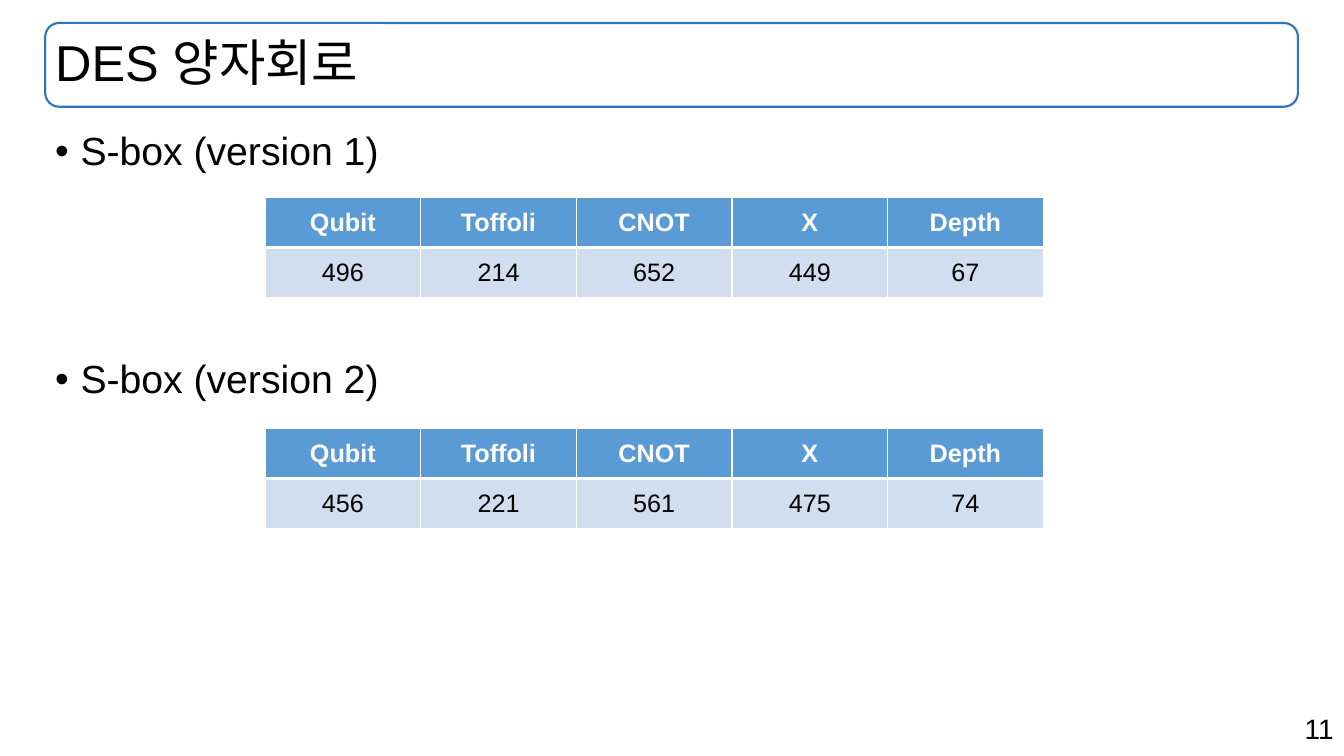
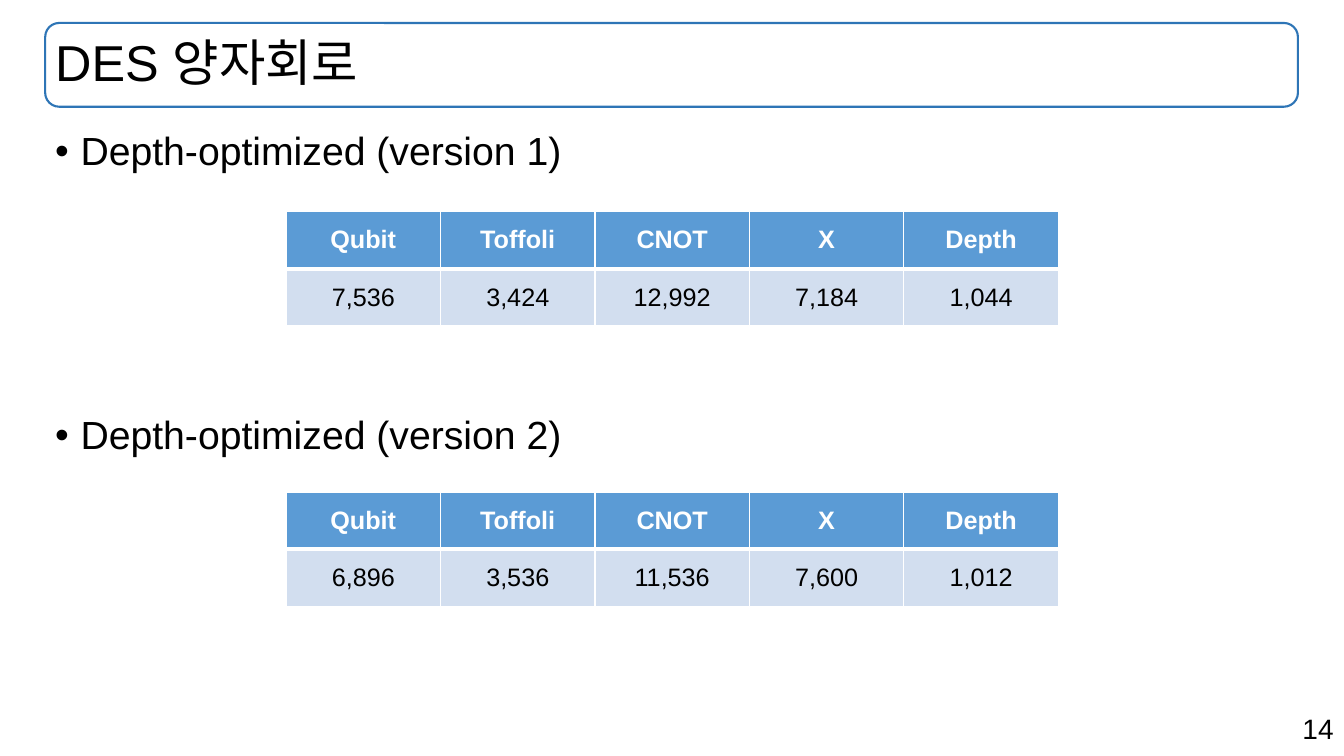
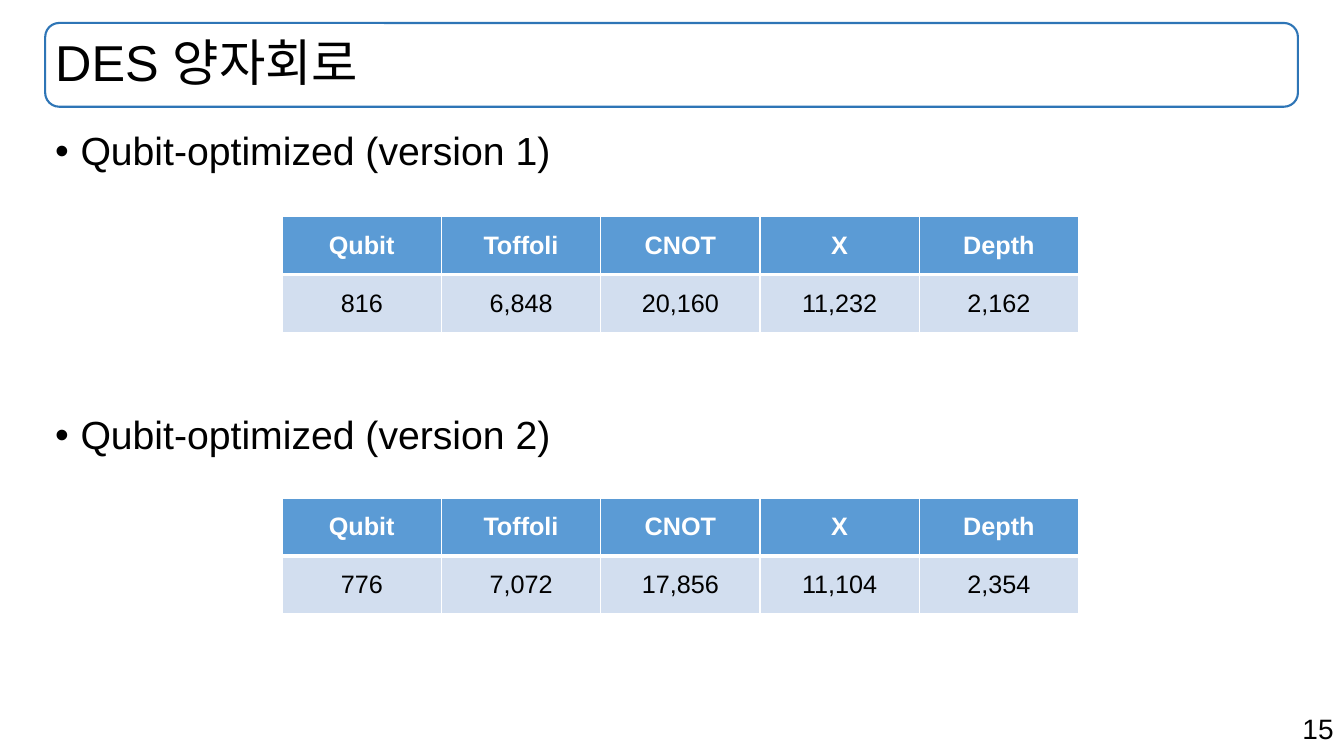
from dataclasses import dataclass

import pptx
import pptx.dml.color
import pptx.enum.shapes
import pptx.enum.text
import pptx.oxml
import pptx.oxml.ns
import pptx.presentation
import pptx.shapes.autoshape
import pptx.slide
import pptx.table
import pptx.text.text
import pptx.util

Cm = pptx.util.Cm
Pt = pptx.util.Pt
RGBColor = pptx.dml.color.RGBColor
PP_ALIGN = pptx.enum.text.PP_ALIGN
MSO_ANCHOR = pptx.enum.text.MSO_ANCHOR

FRAME_BLUE = RGBColor(0x2E, 0x75, 0xB6)
HEADER_BLUE = RGBColor(0x5B, 0x9B, 0xD5)
ROW_BLUE = RGBColor(0xD2, 0xDE, 0xEF)
WHITE = RGBColor(0xFF, 0xFF, 0xFF)
BLACK = RGBColor(0x00, 0x00, 0x00)
FONT = "Arial"

TITLE = "DES 양자회로"
COLUMNS = ("Qubit", "Toffoli", "CNOT", "X", "Depth")
TITLE_BOX = (Cm(1.14), Cm(0.58), Cm(31.57), Cm(2.11))
BODY_BOX = (Cm(1.14), Cm(3.2), Cm(31.57), Cm(15.57))
NUMBER_BOX = (Cm(23.95), Cm(17.81), Cm(9.91), Cm(1.12))


@dataclass(frozen=True)
class Result:
    heading: str
    top: float
    values: tuple[str, ...]


@dataclass(frozen=True)
class ResultSlide:
    number: int
    left: float
    width: float
    row_height: float
    heading_gap: float
    results: tuple[Result, ...]


SLIDES = (
    ResultSlide(11, 6.68, 19.61, 1.26, 132.5, (
        Result("S-box (version 1)", 4.98, ("496", "214", "652", "449", "67")),
        Result("S-box (version 2)", 10.8, ("456", "221", "561", "475", "74")),
    )),
    ResultSlide(14, 7.21, 19.46, 1.44, 172.5, (
        Result("Depth-optimized (version 1)", 5.33,
               ("7,536", "3,424", "12,992", "7,184", "1,044")),
        Result("Depth-optimized (version 2)", 12.4,
               ("6,896", "3,536", "11,536", "7,600", "1,012")),
    )),
    ResultSlide(15, 7.11, 20.07, 1.46, 172.5, (
        Result("Qubit-optimized (version 1)", 5.46,
               ("816", "6,848", "20,160", "11,232", "2,162")),
        Result("Qubit-optimized (version 2)", 12.55,
               ("776", "7,072", "17,856", "11,104", "2,354")),
    )),
)


def format_text(p: pptx.text.text._Paragraph, size: int,
                color: RGBColor = BLACK, bold: bool = False) -> None:
    for r in p.runs:
        r.font.name = FONT
        r.font.size = Pt(size)
        r.font.color.rgb = color
        r.font.bold = bold


def add_text(s: pptx.slide.Slide, box: tuple, text: str,
             size: int) -> pptx.shapes.autoshape.Shape:
    sp = s.shapes.add_textbox(*box)
    tf = sp.text_frame
    tf.word_wrap = True
    tf.text = text
    for p in tf.paragraphs:
        format_text(p, size)
    return sp


def add_frame(s: pptx.slide.Slide, number: int) -> None:
    sp = add_text(s, NUMBER_BOX, str(number), 20)
    sp.text_frame.paragraphs[0].alignment = PP_ALIGN.RIGHT

    sp = s.shapes.add_shape(
        pptx.enum.shapes.MSO_SHAPE.ROUNDED_RECTANGLE, *TITLE_BOX)
    sp.shadow.inherit = False
    sp.fill.background()
    sp.line.color.rgb = FRAME_BLUE
    sp.line.width = Pt(1.5)

    tf = add_text(s, TITLE_BOX, TITLE, 36).text_frame
    tf.vertical_anchor = MSO_ANCHOR.MIDDLE
    tf.paragraphs[0].line_spacing = 0.9


def add_headings(s: pptx.slide.Slide, spec_slide: ResultSlide) -> None:
    text = "\n".join(result.heading for result in spec_slide.results)
    tf = add_text(s, BODY_BOX, text, 28).text_frame
    for i, p in enumerate(tf.paragraphs):
        p.line_spacing = 0.9
        p.space_before = Pt(spec_slide.heading_gap if i else 0)
        pPr = p._p.get_or_add_pPr()
        pPr.set("marL", str(Cm(0.64)))
        pPr.set("indent", str(-Cm(0.64)))
        ns = pptx.oxml.ns.nsdecls("a")
        pPr.append(pptx.oxml.parse_xml(f'<a:buFont {ns} typeface="{FONT}"/>'))
        pPr.append(pptx.oxml.parse_xml(f'<a:buChar {ns} char="•"/>'))


def set_borders(cell: pptx.table._Cell, top: float, bottom: float) -> None:
    tcPr = cell._tc.get_or_add_tcPr()
    for side, width in (("L", 1), ("R", 1), ("T", top), ("B", bottom)):
        tcPr.append(pptx.oxml.parse_xml(
            f'<a:ln{side} {pptx.oxml.ns.nsdecls("a")} w="{Pt(width)}">'
            f'<a:solidFill><a:srgbClr val="{WHITE}"/></a:solidFill>'
            f'</a:ln{side}>'))


def style_cell(cell: pptx.table._Cell, text: str, header: bool) -> None:
    set_borders(cell, top=1 if header else 3, bottom=3 if header else 1)
    cell.fill.solid()
    cell.fill.fore_color.rgb = HEADER_BLUE if header else ROW_BLUE
    cell.vertical_anchor = MSO_ANCHOR.MIDDLE
    cell.text_frame.text = text
    p = cell.text_frame.paragraphs[0]
    p.alignment = PP_ALIGN.CENTER
    format_text(p, 18, WHITE if header else BLACK, header)


def add_result_table(s: pptx.slide.Slide, layout: ResultSlide,
                     result: Result) -> None:
    rows = (COLUMNS, result.values)
    table = s.shapes.add_table(
        len(rows), len(COLUMNS), Cm(layout.left), Cm(result.top),
        Cm(layout.width), Cm(layout.row_height * len(rows))).table
    table.horz_banding = False
    for i, values in enumerate(rows):
        for j, value in enumerate(values):
            style_cell(table.cell(i, j), value, header=i == 0)


def add_result_slide(prs: pptx.presentation.Presentation,
                     layout: ResultSlide) -> None:
    s = prs.slides.add_slide(prs.slide_layouts[6])
    add_frame(s, layout.number)
    add_headings(s, layout)
    for result in layout.results:
        add_result_table(s, layout, result)


def main() -> None:
    prs = pptx.Presentation()
    prs.slide_width = Cm(33.87)
    prs.slide_height = Cm(19.05)
    for layout in SLIDES:
        add_result_slide(prs, layout)
    prs.save("out.pptx")


if __name__ == "__main__":
    main()
